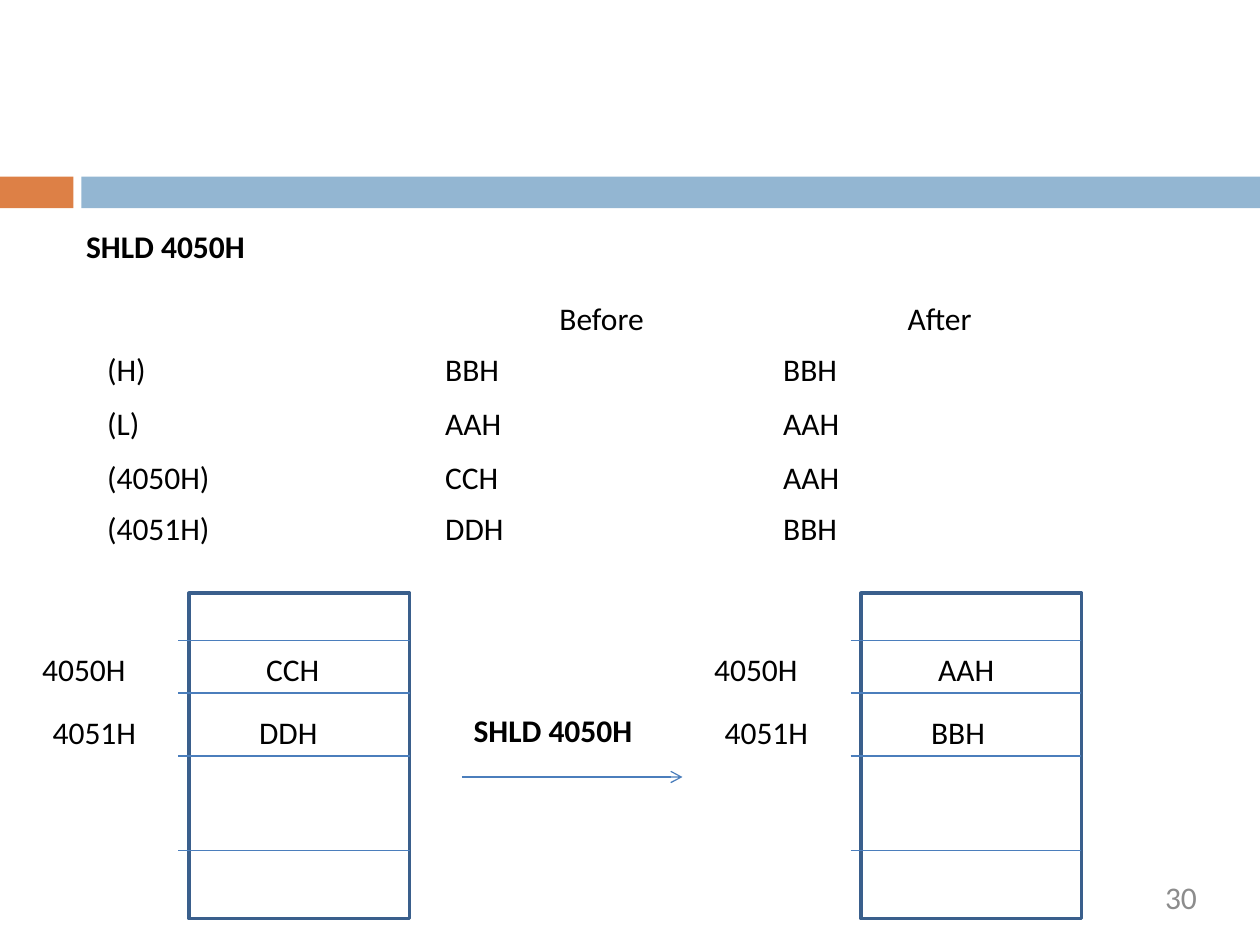
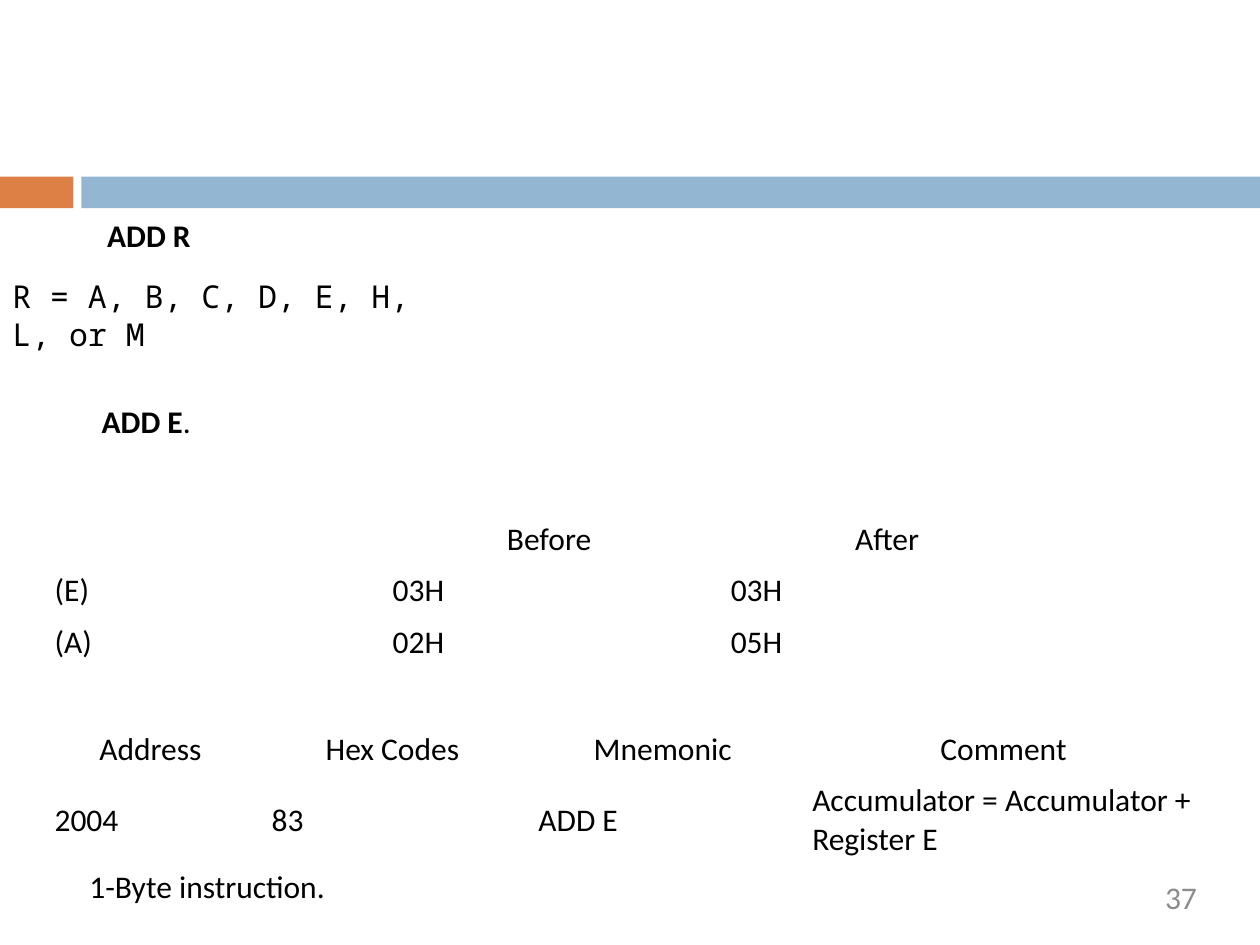
"""Build two slides on the instructions SHLD 4050H and ADD R."""
from dataclasses import dataclass

from lxml import etree
from pptx import Presentation
from pptx import util as u
from pptx.dml.color import RGBColor
from pptx.enum import shapes, text
from pptx.oxml import ns

BLACK, WHITE, GREY = "000000", "FFFFFF", "8C8C8C"
ORANGE, BLUE = "DD8046", "93B6D2"
BOX_EDGE, LINE_BLUE = "3A5F8C", "4B7EBC"
BODY_FONT, CODE_FONT, FONT_SIZE = "Calibri", "Noto Sans Mono", 18
ROW_HEIGHT = 29
LABEL_HEIGHT = 29
STATE_COLUMNS = (193.2, 193.2, 193.2)


@dataclass(frozen=True)
class Run:
    """A stretch of text in one format."""
    words: str
    bold: bool = False
    font: str = BODY_FONT
    color: str = BLACK


@dataclass(frozen=True)
class Label:
    """A piece of text placed on a slide, in points."""
    left: float
    top: float
    width: float
    runs: tuple[Run, ...]
    wrap: bool = False


@dataclass(frozen=True)
class Grid:
    """A borderless table with a centred header row."""
    left: float
    top: float
    columns: tuple[float, ...]
    heights: tuple[float, ...]
    rows: tuple[tuple[str, ...], ...]


@dataclass(frozen=True)
class Memory:
    """A column of memory cells and the two bytes it holds."""
    left: float
    values: tuple[str, str]


def rgb(color: str) -> RGBColor:
    """Turn a hex string into a colour."""
    return RGBColor.from_string(color)


def add_runs(paragraph, runs: tuple[Run, ...]) -> None:
    """Append formatted runs to a paragraph."""
    for item in runs:
        run = paragraph.add_run()
        run.text = item.words
        run.font.size = u.Pt(FONT_SIZE)
        run.font.name = item.font
        run.font.bold = item.bold
        run.font.color.rgb = rgb(item.color)


def fill_label(shape, label: Label) -> None:
    """Place a text shape and write the label into it."""
    shape.left, shape.top = u.Pt(label.left), u.Pt(label.top)
    shape.width, shape.height = u.Pt(label.width), u.Pt(LABEL_HEIGHT)
    frame = shape.text_frame
    frame.auto_size = text.MSO_AUTO_SIZE.NONE
    frame.word_wrap = label.wrap
    frame.vertical_anchor = (text.MSO_ANCHOR.MIDDLE if label.wrap
                             else text.MSO_ANCHOR.TOP)
    frame.paragraphs[0].alignment = text.PP_ALIGN.LEFT
    add_runs(frame.paragraphs[0], label.runs)


def add_label(slide, label: Label):
    """Add a label in a new text box."""
    shape = slide.shapes.add_textbox(0, 0, 0, 0)
    fill_label(shape, label)
    return shape


def add_rectangle(slide, left: float, top: float, width: float, height: float,
                  fill: str, edge: str | None = None):
    """Add a flat rectangle, outlined if an edge colour is given."""
    shape = slide.shapes.add_shape(
        shapes.MSO_SHAPE.RECTANGLE,
        u.Pt(left), u.Pt(top), u.Pt(width), u.Pt(height))
    shape.shadow.inherit = False
    shape.fill.solid()
    shape.fill.fore_color.rgb = rgb(fill)
    if edge:
        shape.line.color.rgb = rgb(edge)
        shape.line.width = u.Pt(2)
    else:
        shape.line.fill.background()
    return shape


def add_line(slide, start: float, end: float, height: float, arrow: bool = False):
    """Add a thin horizontal line, with an arrowhead if asked."""
    line = slide.shapes.add_connector(
        shapes.MSO_CONNECTOR.STRAIGHT,
        u.Pt(start), u.Pt(height), u.Pt(end), u.Pt(height))
    line.line.color.rgb = rgb(LINE_BLUE)
    line.line.width = u.Pt(0.75)
    properties = line._element.spPr
    if arrow:
        outline = properties.find(ns.qn("a:ln"))
        etree.SubElement(outline, ns.qn("a:tailEnd"), type="arrow")
    etree.SubElement(properties, ns.qn("a:effectLst"))
    return line


def add_grid(slide, grid: Grid) -> None:
    """Add a table without fills or banding."""
    table = slide.shapes.add_table(
        len(grid.rows), len(grid.columns), u.Pt(grid.left), u.Pt(grid.top),
        u.Pt(sum(grid.columns)), u.Pt(sum(grid.heights))).table
    table.first_row = table.horz_banding = False
    for column, width in zip(table.columns, grid.columns):
        column.width = u.Pt(width)
    for row, height in zip(table.rows, grid.heights):
        row.height = u.Pt(height)
    for row_index, values in enumerate(grid.rows):
        for column_index, value in enumerate(values):
            cell = table.cell(row_index, column_index)
            cell.fill.background()
            cell.vertical_anchor = text.MSO_ANCHOR.MIDDLE
            paragraph = cell.text_frame.paragraphs[0]
            if row_index == 0:
                paragraph.alignment = text.PP_ALIGN.CENTER
            if value:
                add_runs(paragraph, (Run(value),))


def add_memory(slide, memory: Memory) -> None:
    """Draw a memory column with its addresses and bytes."""
    top, width, height = 339, 126, 186
    left, right = memory.left, memory.left + width
    column = add_rectangle(slide, left, top, width, height, WHITE, BOX_EDGE)
    for divider in (366, 396, 432, 486):
        line = add_line(slide, left - 6, right, divider)
        if divider == top + height / 2:
            line.end_connect(column, 3)
    addresses = (("4050H", -91, 368), ("4051H", -85, 404))
    for (address, offset, label_top), value, inset in zip(
            addresses, memory.values, (37, 33)):
        add_label(slide, Label(left + offset, label_top, 79, (Run(address),)))
        add_label(slide, Label(left + inset, label_top, 47, (Run(value),)))


def add_base(presentation, title: Label, number: str):
    """Add a slide with its title, two bands and page number."""
    slide = presentation.slides.add_slide(presentation.slide_layouts[5])
    fill_label(slide.shapes.title, title)
    add_rectangle(slide, 0, 101, 42, 18, ORANGE)
    add_rectangle(slide, 46.5, 101, 673.5, 18, BLUE)
    page = add_label(slide, Label(518, 502, 166, (Run(number, color=GREY),), True))
    frame = page.text_frame
    frame.margin_left = frame.margin_right = 0
    frame.margin_top = frame.margin_bottom = 0
    frame.vertical_anchor = text.MSO_ANCHOR.TOP
    frame.paragraphs[0].alignment = text.PP_ALIGN.RIGHT
    return slide


def build_store_slide(presentation) -> None:
    """Show how SHLD copies H and L into memory."""
    command = (Run("SHLD 4050H", bold=True),)
    slide = add_base(presentation, Label(42, 126, 110, command), "30")
    add_grid(slide, Grid(
        54, 168, STATE_COLUMNS,
        (ROW_HEIGHT, ROW_HEIGHT, 32.4, ROW_HEIGHT, ROW_HEIGHT),
        (("", "Before", "After"),
         ("(H)", "BBH", "BBH"),
         ("(L)", "AAH", "AAH"),
         ("(4050H)", "CCH", "AAH"),
         ("(4051H)", "DDH", "BBH"))))
    add_memory(slide, Memory(108, ("CCH", "DDH")))
    add_memory(slide, Memory(492, ("AAH", "BBH")))
    add_line(slide, 264, 390, 444, arrow=True)
    add_label(slide, Label(263.5, 402.5, 110, command))


def build_add_slide(presentation) -> None:
    """Show how ADD changes the accumulator."""
    title = Label(54, 120, 67, (Run("ADD R", bold=True),))
    slide = add_base(presentation, title, "37")
    labels = (
        Label(0, 165.5, 246,
              (Run("R = A, B, C, D, E, H, L, or M", font=CODE_FONT),), True),
        Label(51, 226, 71, (Run("ADD E", bold=True), Run("."))),
        Label(44, 492, 155, (Run("1-Byte instruction."),)),
    )
    for label in labels:
        add_label(slide, label)
    add_grid(slide, Grid(
        24, 294, STATE_COLUMNS, (ROW_HEIGHT,) * 3,
        (("", "Before", "After"),
         ("(E)", "03H", "03H"),
         ("(A)", "02H", "05H"))))
    add_grid(slide, Grid(
        24, 414, (124, 152.5, 156.5, 233), (ROW_HEIGHT, 50),
        (("Address", "Hex Codes", "Mnemonic", "Comment"),
         ("2004", "83", "ADD E", "Accumulator = Accumulator + Register E"))))


def main() -> None:
    """Build and save the presentation."""
    presentation = Presentation()
    presentation.slide_width, presentation.slide_height = u.Pt(720), u.Pt(540)
    build_store_slide(presentation)
    build_add_slide(presentation)
    presentation.save("out.pptx")


if __name__ == "__main__":
    main()
